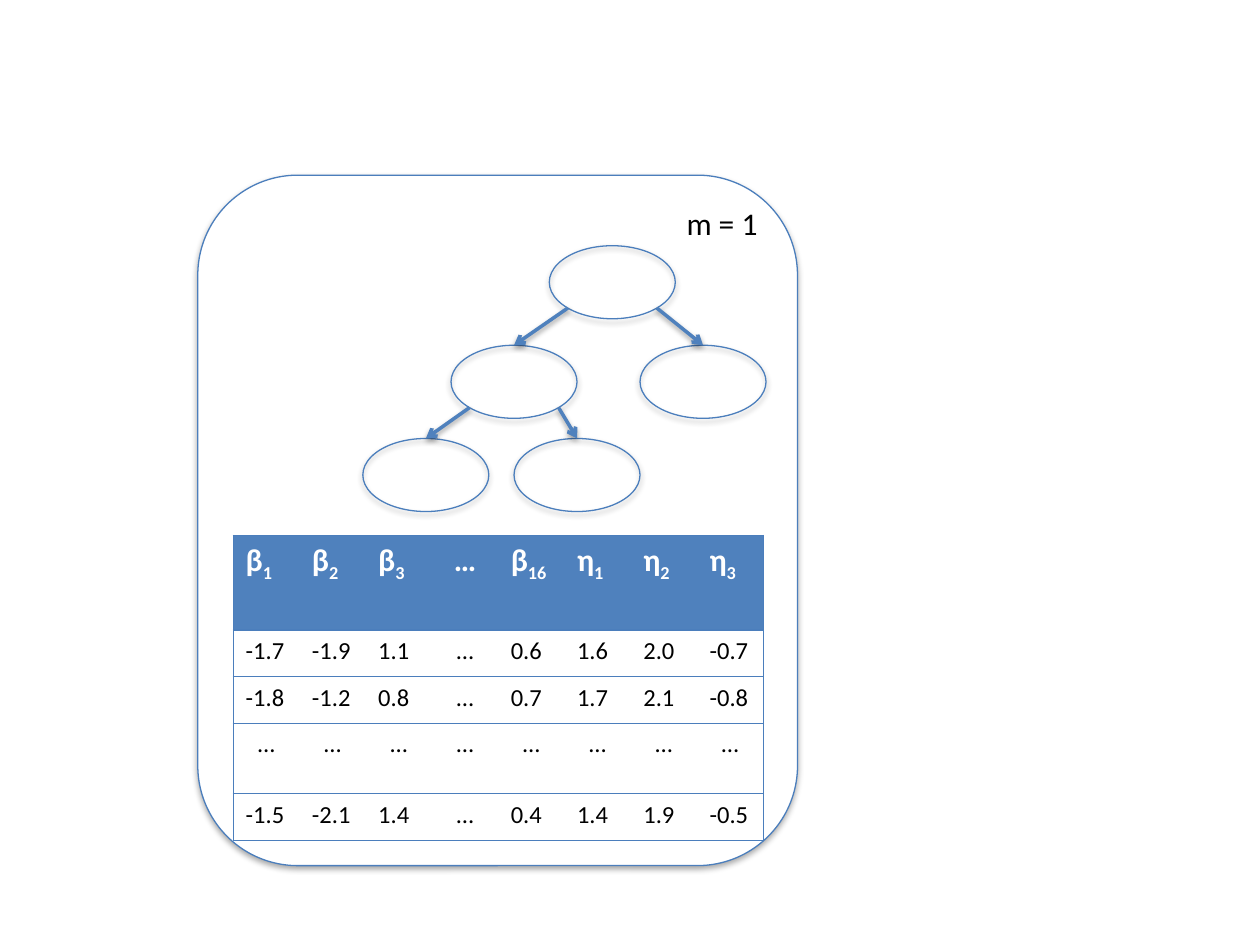
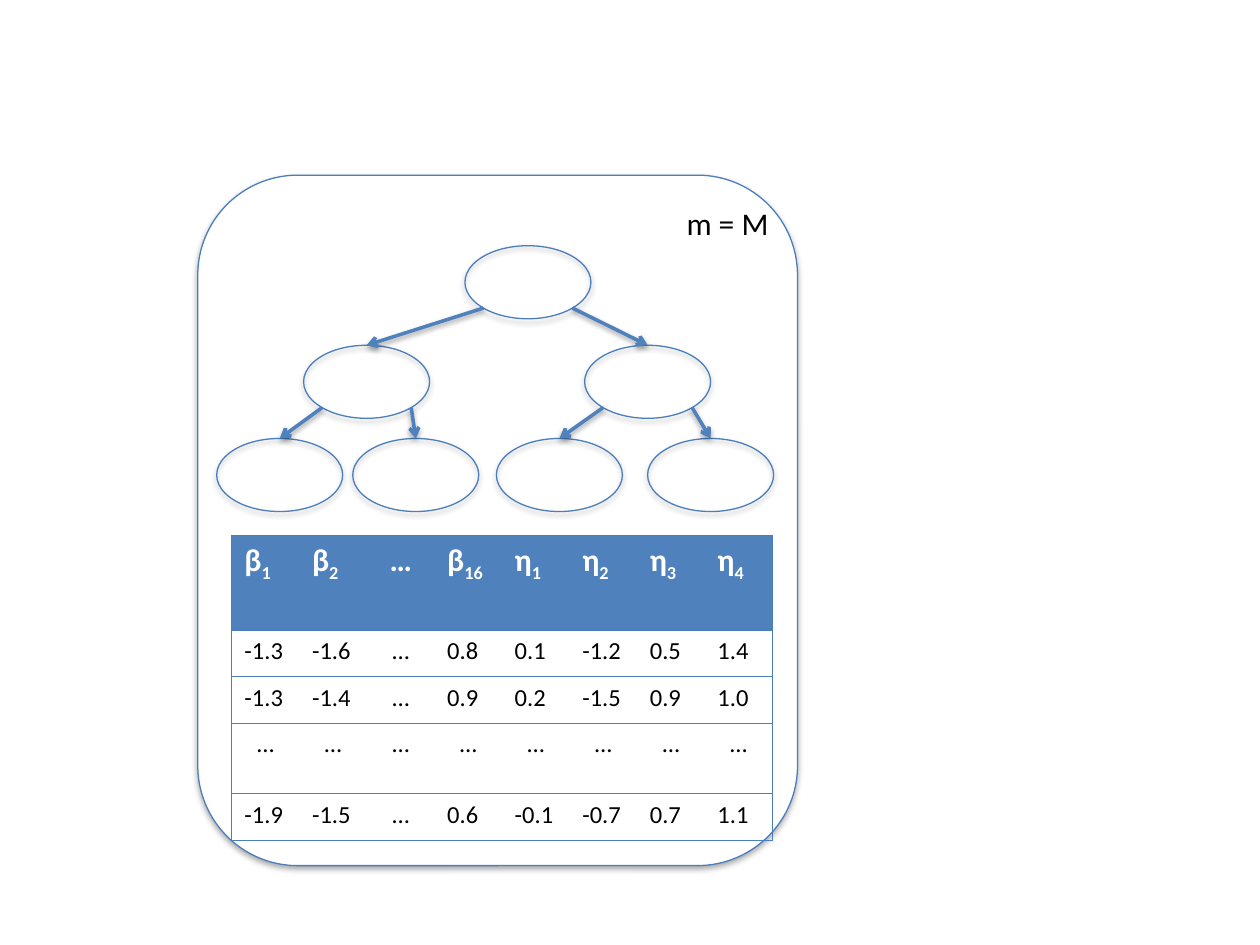
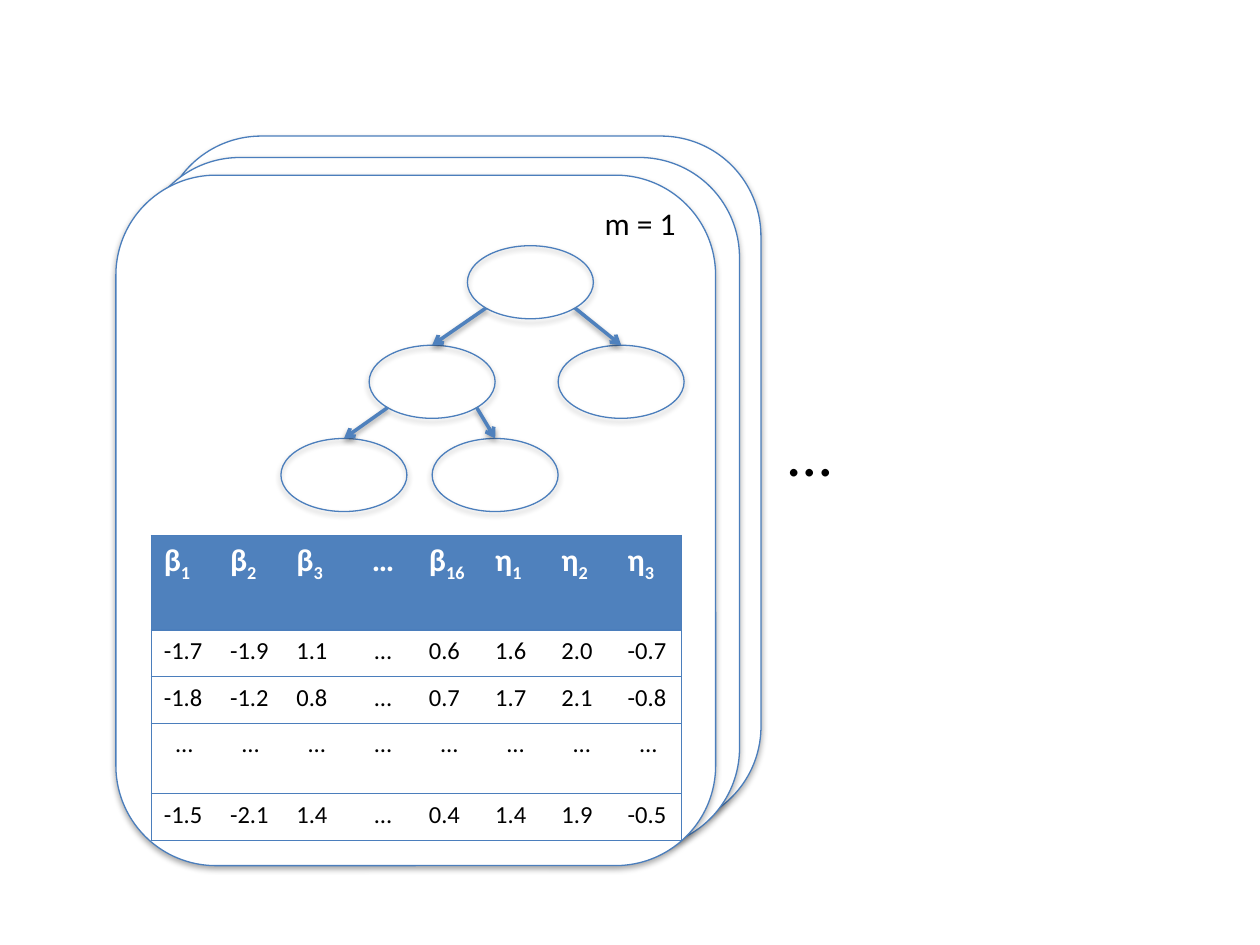
from lxml.etree import SubElement
from pptx import Presentation
from pptx.dml.color import RGBColor
from pptx.enum.shapes import MSO_CONNECTOR, MSO_SHAPE
from pptx.enum.text import MSO_AUTO_SIZE, PP_ALIGN
from pptx.oxml import parse_xml
from pptx.oxml.ns import nsdecls, qn
from pptx.util import Inches, Pt

COLOURS = {"paper": "FFFFFF", "ink": "000000", "outline": "4B7EBC", "accent": "4F81BD"}
HEADER_FORMAT = {"size": Pt(18), "bold": True, "name": "Calibri"}
VALUE_FORMAT = {"size": Pt(14), "bold": False, "name": "Calibri"}
LABEL_FORMAT = {"size": Pt(18), "name": "Calibri"}
DOTS_FORMAT = {"size": Pt(36), "name": "Calibri"}

CARD_TOP, CARD_WIDTH, CARD_HEIGHT = 1.39, 4.76, 5.48
NODE_WIDTH, NODE_HEIGHT = 1, 0.58
LEVEL_TOPS = [1.95, 2.74, 3.48]
ROW_HEIGHTS = [0.75, 0.37, 0.37, 0.56, 0.37]
DIAGONAL = 0.5 ** 0.5

FIRST_SAMPLE = {
    "label": "m = 1",
    "nodes": {1: 2.79, 2: 2.01, 3: 3.51, 4: 1.31, 5: 2.51},
    "table_left": 0.28,
    "table_width": 4.21,
    "rows": [
        "β_1 β_2 β_3 … β_16 η_1 η_2 η_3",
        "-1.7 -1.9 1.1 … 0.6 1.6 2.0 -0.7",
        "-1.8 -1.2 0.8 … 0.7 1.7 2.1 -0.8",
        "… … … … … … … …",
        "-1.5 -2.1 1.4 … 0.4 1.4 1.9 -0.5",
    ],
}
LAST_SAMPLE = {
    "label": "m = M",
    "nodes": {1: 2.12, 2: 0.84, 3: 3.07, 4: 0.15, 5: 1.23, 6: 2.37, 7: 3.57},
    "table_left": 0.27,
    "table_width": 4.29,
    "rows": [
        "β_1 β_2 … β_16 η_1 η_2 η_3 η_4",
        "-1.3 -1.6 … 0.8 0.1 -1.2 0.5 1.4",
        "-1.3 -1.4 … 0.9 0.2 -1.5 0.9 1.0",
        "… … … … … … … …",
        "-1.9 -1.5 … 0.6 -0.1 -0.7 0.7 1.1",
    ],
}


class SampleDeck:
    """Draws posterior samples as cards, each with a tree and a parameter table."""

    def __init__(self):
        self.deck = Presentation()
        self.deck.slide_width, self.deck.slide_height = Inches(10), Inches(7.5)
        self.page = None

    def add_page(self):
        self.page = self.deck.slides.add_slide(self.deck.slide_layouts[6])

    def colour(self, name):
        return RGBColor.from_string(COLOURS[name])

    def add_shadow(self, shape, distance, alpha):
        shape._element.spPr.append(parse_xml(
            f'<a:effectLst {nsdecls("a")}><a:outerShdw blurRad="40000" dist="{distance}" '
            f'dir="5400000" rotWithShape="0"><a:srgbClr val="{COLOURS["ink"]}">'
            f'<a:alpha val="{alpha}"/></a:srgbClr></a:outerShdw></a:effectLst>'))

    def add_outline(self, kind, left, top, width, height, fill=None):
        shape = self.page.shapes.add_shape(
            kind, Inches(left), Inches(top), Inches(width), Inches(height))
        if fill:
            shape.fill.solid()
            shape.fill.fore_color.rgb = self.colour(fill)
        else:
            shape.fill.background()
        shape.line.color.rgb = self.colour("outline")
        shape.line.width = Pt(0.75)
        self.add_shadow(shape, 23000, 35000)

    def add_card(self, left, top=CARD_TOP):
        self.add_outline(MSO_SHAPE.ROUNDED_RECTANGLE, left, top, CARD_WIDTH, CARD_HEIGHT, "paper")

    def add_arrow(self, start, end):
        arrow = self.page.shapes.add_connector(
            MSO_CONNECTOR.STRAIGHT, *(Inches(value) for value in (*start, *end)))
        arrow.line.color.rgb = self.colour("accent")
        arrow.line.width = Pt(2)
        SubElement(arrow.line._get_or_add_ln(), qn("a:tailEnd"), type="arrow")
        self.add_shadow(arrow, 20000, 38000)

    def add_tree(self, card_left, nodes):
        """Number nodes as in a heap: node n has the children 2n and 2n + 1."""
        places = {number: (card_left + offset, LEVEL_TOPS[number.bit_length() - 1])
                  for number, offset in nodes.items()}
        for left, top in places.values():
            self.add_outline(MSO_SHAPE.OVAL, left, top, NODE_WIDTH, NODE_HEIGHT)
        for number, (left, top) in places.items():
            if number == 1:
                continue
            parent_left, parent_top = places[number // 2]
            side = 1 if number % 2 else -1
            start = (parent_left + NODE_WIDTH / 2 * (1 + side * DIAGONAL),
                     parent_top + NODE_HEIGHT / 2 * (1 + DIAGONAL))
            self.add_arrow(start, (left + NODE_WIDTH / 2, top))

    def add_span(self, para, text, formats, colour):
        span = para.add_run()
        span.text = text
        for name, value in formats.items():
            setattr(span.font, name, value)
        span.font.color.rgb = self.colour(colour)
        return span

    def add_text(self, text, left, top, width, height, formats, align=PP_ALIGN.LEFT):
        box = self.page.shapes.add_textbox(
            Inches(left), Inches(top), Inches(width), Inches(height))
        box.text_frame.word_wrap = True
        box.text_frame.auto_size = MSO_AUTO_SIZE.SHAPE_TO_FIT_TEXT
        para = box.text_frame.paragraphs[0]
        para.alignment = align
        self.add_span(para, text, formats, "ink")

    def set_borders(self, cell, visible):
        properties = cell._tc.get_or_add_tcPr()
        for index, side in enumerate("LRTB"):
            if side in visible:
                paint = f'<a:solidFill><a:srgbClr val="{COLOURS["outline"]}"/></a:solidFill>'
            else:
                paint = "<a:noFill/>"
            properties.insert(index, parse_xml(
                f'<a:ln{side} {nsdecls("a")} w="9525">{paint}</a:ln{side}>'))

    def fill_cell(self, cell, text, header):
        if header:
            cell.fill.solid()
            cell.fill.fore_color.rgb = self.colour("accent")
        else:
            cell.fill.background()
        formats, colour = (HEADER_FORMAT, "paper") if header else (VALUE_FORMAT, "ink")
        para = cell.text_frame.paragraphs[0]
        para.alignment = PP_ALIGN.CENTER if text == "…" else PP_ALIGN.LEFT
        symbol, _, subscript = text.partition("_")
        self.add_span(para, symbol, formats, colour)
        if subscript:
            span = self.add_span(para, subscript, formats, colour)
            span._r.get_or_add_rPr().set("baseline", "-25000")

    def add_table(self, left, top, width, lines):
        rows = [line.split() for line in lines]
        count = len(rows[0])
        table = self.page.shapes.add_table(
            len(rows), count, Inches(left), Inches(top),
            Inches(width), Inches(sum(ROW_HEIGHTS))).table
        table.horz_banding = False
        for column in table.columns:
            column.width = Inches(width / count)
        for row, height in zip(table.rows, ROW_HEIGHTS):
            row.height = Inches(height)
        for row_index, row in enumerate(rows):
            for column_index, text in enumerate(row):
                cell = table.cell(row_index, column_index)
                self.fill_cell(cell, text, row_index == 0)
                edges = {0: "L", count - 1: "R"}.get(column_index, "")
                self.set_borders(cell, "TB" + edges)

    def add_sample(self, left, sample):
        self.add_card(left)
        self.add_tree(left, sample["nodes"])
        self.add_text(sample["label"], left + 3.78, 1.57, 0.89, 0.4, LABEL_FORMAT)
        self.add_table(left + sample["table_left"], 4.25, sample["table_width"], sample["rows"])


samples = SampleDeck()
for sample in (FIRST_SAMPLE, LAST_SAMPLE):
    samples.add_page()
    samples.add_sample(1.57, sample)

samples.add_page()
for card_left, card_top in ((1.28, 1.08), (1.11, 1.25)):
    samples.add_card(card_left, card_top)
samples.add_sample(0.92, FIRST_SAMPLE)
samples.add_text("…", 6.04, 3.23, 0.77, 0.71, DOTS_FORMAT, PP_ALIGN.CENTER)

samples.deck.save("out.pptx")
